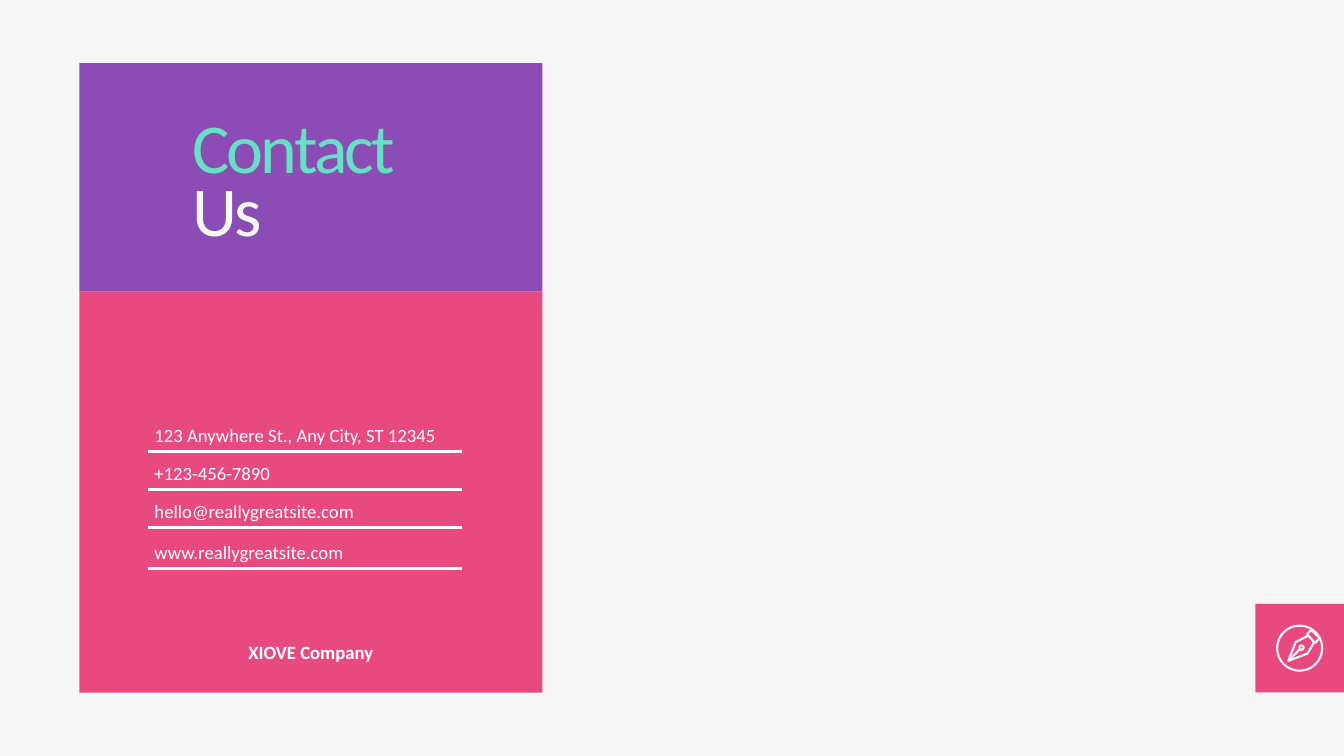
"""Builds the contact slide: a two-colour card with ruled details and a pen badge."""
from dataclasses import dataclass

from lxml import etree
from pptx import Presentation
from pptx.dml.color import RGBColor
from pptx.enum.shapes import MSO_CONNECTOR, MSO_SHAPE
from pptx.enum.text import MSO_ANCHOR, PP_ALIGN
from pptx.oxml.ns import qn
from pptx.util import Cm, Pt

RECTANGLE, OVAL = MSO_SHAPE.RECTANGLE, MSO_SHAPE.OVAL
STRAIGHT = MSO_CONNECTOR.STRAIGHT
TOP = MSO_ANCHOR.TOP
LEFT, CENTER = PP_ALIGN.LEFT, PP_ALIGN.CENTER


@dataclass(frozen=True)
class Theme:
    paper: str = "F7F7F7"
    purple: str = "8B4CB5"
    pink: str = "E84A80"
    mint: str = "67E0C4"
    white: str = "FFFFFF"
    icon: str = "FEFCFB"
    font: str = "Calibri"
    title_size: int = 75
    body_size: int = 20
    rule_width: float = 3
    icon_width: float = 2.2


def format_span(span, *, font, size, color, bold=False, spacing=0):
    span.font.name = font
    span.font.size = Pt(size)
    span.font.bold = bold
    span.font.color.rgb = RGBColor.from_string(color)
    if spacing:
        span._r.get_or_add_rPr().set("spc", str(spacing * 100))


class SlidePainter:
    def __init__(self, page, theme):
        self.page = page
        self.theme = theme
        page.background.fill.solid()
        page.background.fill.fore_color.rgb = RGBColor.from_string(theme.paper)

    def paint(self, shape, fill, line):
        shape.shadow.inherit = False
        if fill:
            shape.fill.solid()
            shape.fill.fore_color.rgb = RGBColor.from_string(fill)
        else:
            shape.fill.background()
        if line:
            shape.line.color.rgb = RGBColor.from_string(line)
            shape.line.width = Pt(self.theme.icon_width)
        else:
            shape.line.fill.background()

    def shape(self, kind, left, top, width, height, fill=None, line=None):
        shape = self.page.shapes.add_shape(kind, Cm(left), Cm(top), Cm(width), Cm(height))
        self.paint(shape, fill, line)

    def circle(self, x, y, radius, fill=None, line=None):
        self.shape(OVAL, x - radius, y - radius, 2 * radius, 2 * radius, fill, line)

    def polygon(self, points, fill=None, line=None):
        start, *others = [(Cm(x), Cm(y)) for x, y in points]
        builder = self.page.shapes.build_freeform(*start)
        builder.add_line_segments(others, close=True)
        self.paint(builder.convert_to_shape(), fill, line)

    def line(self, start, end, color, width):
        ends = [Cm(value) for value in (*start, *end)]
        line = self.page.shapes.add_connector(STRAIGHT, *ends)
        line.line.color.rgb = RGBColor.from_string(color)
        line.line.width = Pt(width)
        etree.SubElement(line._element.spPr, qn("a:effectLst"))

    def text(self, words, left, top, width, height, align=LEFT, leading=0.8, **style):
        box = self.page.shapes.add_textbox(Cm(left), Cm(top), Cm(width), Cm(height))
        frame = box.text_frame
        frame.word_wrap = True
        frame.vertical_anchor = TOP
        para = frame.paragraphs[0]
        para.alignment = align
        para.line_spacing = leading
        span = para.add_run()
        span.text = words
        format_span(span, font=self.theme.font, **style)


def draw_card(painter):
    theme = painter.theme
    left, width = 3, 17.5
    painter.shape(RECTANGLE, left, 2.39, width, 8.64, theme.purple)
    painter.shape(RECTANGLE, left, 11.03, width, 15.16, theme.pink)

    titles = (("Contact", 4.42, theme.mint), ("Us", 6.78, theme.paper))
    for words, top, color in titles:
        painter.text(words, 7.02, top, 8.94, 2.31,
                     size=theme.title_size, color=color, spacing=-3)

    details = (
        ("123 Anywhere St., Any City, ST 12345", 16.05),
        ("+123-456-7890", 17.49),
        ("hello@reallygreatsite.com", 18.92),
        ("www.reallygreatsite.com", 20.48),
    )
    column, column_width, rule_drop = 5.59, 11.89, 1.01
    for words, top in details:
        rule = top + rule_drop
        painter.line((column, rule), (column + column_width, rule),
                     theme.white, theme.rule_width)
        painter.text(words, column, top, column_width, 0.84,
                     size=theme.body_size, color=theme.white)

    painter.text("XIOVE Company", 7.8, 24.1, 7.9, 0.97, align=CENTER, leading=1.0,
                 size=theme.body_size, color=theme.white, bold=True)


def draw_pen_badge(painter):
    theme = painter.theme
    left, top, side = 47.45, 22.83, 3.35
    x, y = left + side / 2, top + side / 2
    nib = ((-0.43, 0.48), (-0.15, -0.23), (0.33, -0.48), (0.56, -0.25), (0.3, 0.2))
    collar = ((0.28, -0.53), (0.43, -0.69), (0.76, -0.38), (0.58, -0.2))

    painter.shape(RECTANGLE, left, top, side, side, theme.pink)
    painter.circle(x, y, 0.85, line=theme.icon)
    for outline in (nib, collar):
        points = [(x + across, y + down) for across, down in outline]
        painter.polygon(points, theme.pink, theme.icon)
    painter.line((x - 0.36, y + 0.4), (x, y + 0.05), theme.icon, theme.icon_width)
    painter.circle(x + 0.07, y - 0.02, 0.08, line=theme.icon)


def main():
    deck = Presentation()
    deck.slide_width, deck.slide_height = Cm(50.8), Cm(28.58)
    painter = SlidePainter(deck.slides.add_slide(deck.slide_layouts[6]), Theme())
    draw_card(painter)
    draw_pen_badge(painter)
    deck.save("out.pptx")


if __name__ == "__main__":
    main()
